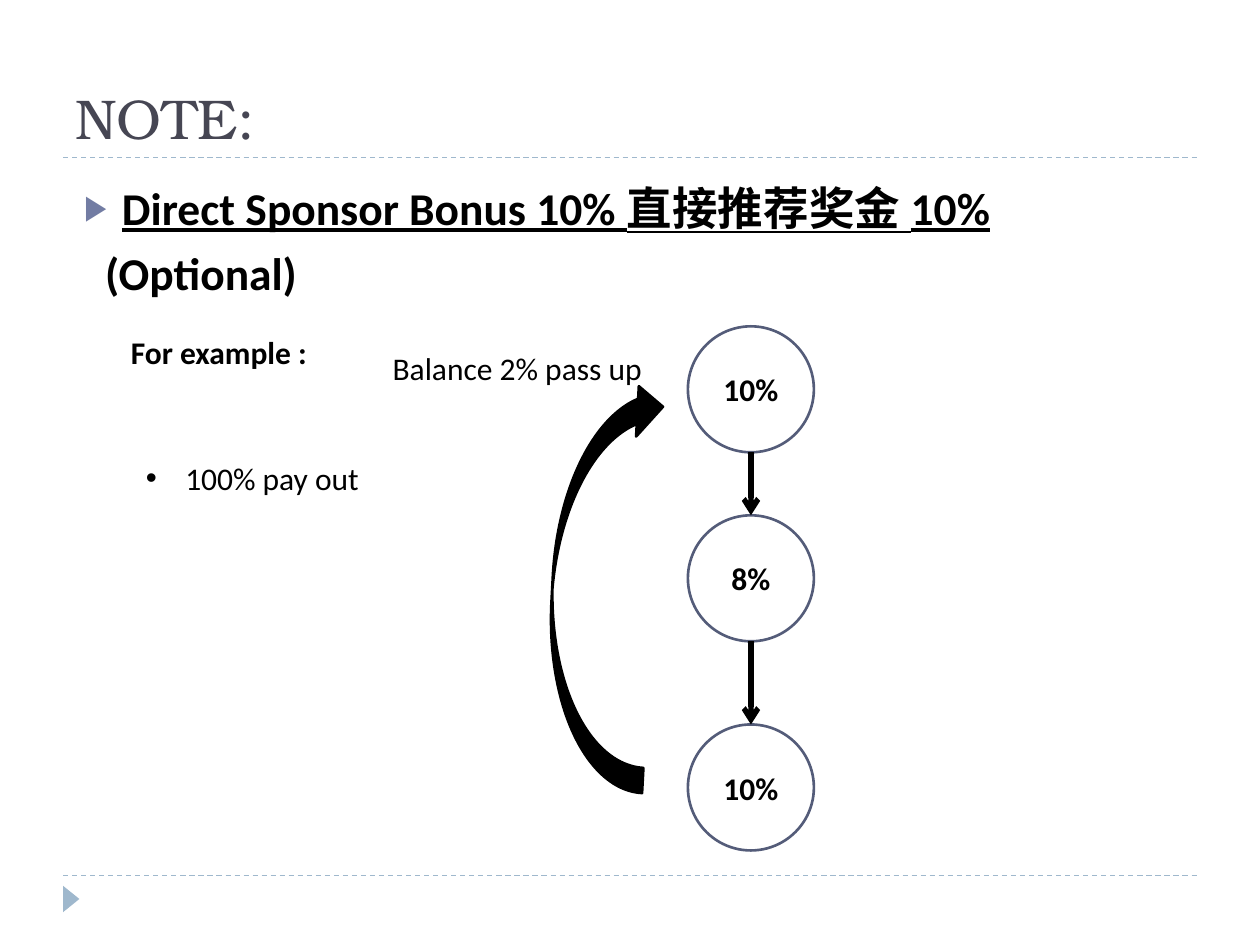
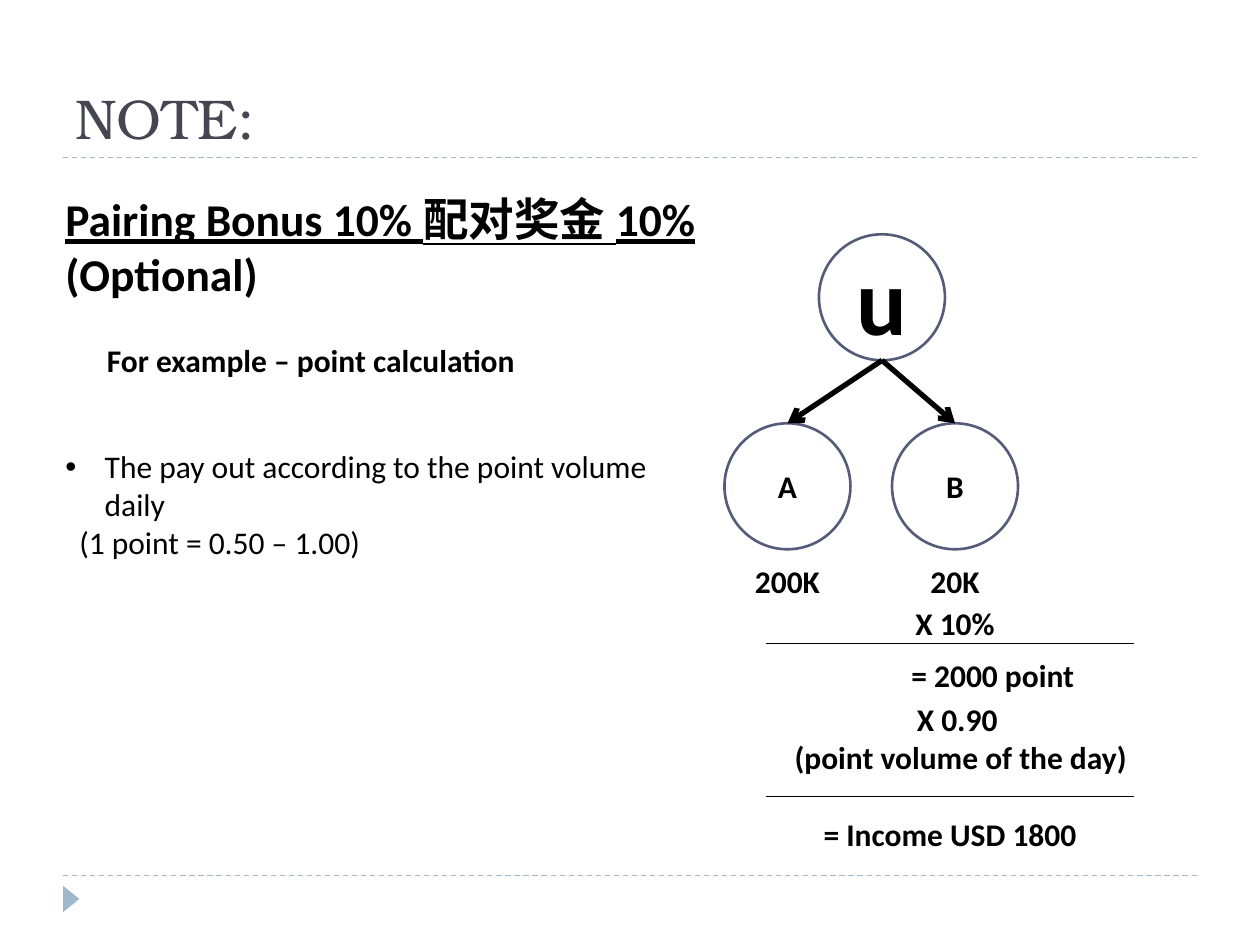
from dataclasses import dataclass

from lxml import etree
from pptx import Presentation
from pptx.dml.color import RGBColor
from pptx.enum.dml import MSO_LINE
from pptx.enum.shapes import MSO_CONNECTOR, MSO_SHAPE
from pptx.enum.text import MSO_ANCHOR, MSO_AUTO_SIZE, PP_ALIGN
from pptx.oxml.ns import qn
from pptx.util import Pt

STRAIGHT = MSO_CONNECTOR.STRAIGHT
OVAL = MSO_SHAPE.OVAL
TRIANGLE = MSO_SHAPE.ISOSCELES_TRIANGLE
CURVED_ARROW = MSO_SHAPE.CURVED_DOWN_ARROW
DASH = MSO_LINE.DASH
TOP, MIDDLE, BOTTOM = MSO_ANCHOR.TOP, MSO_ANCHOR.MIDDLE, MSO_ANCHOR.BOTTOM
LEFT, CENTER = PP_ALIGN.LEFT, PP_ALIGN.CENTER
NO_FIT = MSO_AUTO_SIZE.NONE


@dataclass(frozen=True)
class Theme:
    ink: str = "000000"
    title: str = "464653"
    band: str = "9FB8CD"
    ring: str = "545C79"
    bullet: str = "727CA3"
    body_font: str = "Calibri"
    title_font: str = "TeX Gyre Bonum"
    title_size: int = 32
    heading_size: int = 26
    body_size: int = 18
    letter_size: int = 54
    circle: int = 72


def rgb(value):
    return RGBColor.from_string(value)


def pts(*values):
    return [Pt(v) for v in values]


def apply(target, values):
    for name, value in values.items():
        setattr(target, name, value)


class Deck:
    def __init__(self, theme):
        self.t = theme
        self.prs = Presentation()
        apply(self.prs, {"slide_width": Pt(720), "slide_height": Pt(540)})
        self.s = None

    def slide(self, title):
        self.s = self.prs.slides.add_slide(self.prs.slide_layouts[5])
        for y in (500.4, 90):
            self.line((36, y), (684, y), self.t.band, 0.75, dash=DASH)
        self.shape(TRIANGLE, (33.12, 509.04, 15.12, 9.36),
                   fill=self.t.band, rotation=90)
        sp = self.s.shapes.title
        box = pts(36, 12.24, 648, 77.76)
        apply(sp, dict(zip(("left", "top", "width", "height"), box)))
        self.set_text(sp.text_frame, [self.para(
            title, size=self.t.title_size, font=self.t.title_font,
            color=self.t.title)], BOTTOM)

    def para(self, *runs, size=None, bold=False, align=LEFT, font=None,
             color=None, bullet=None, hang=0, left=0, before=0):
        return {"runs": runs, "align": align, "bullet": bullet,
                "hang": hang, "left": left, "before": before,
                "color": color or self.t.ink,
                "font": {"size": Pt(size or self.t.body_size), "bold": bold,
                         "name": font or self.t.body_font}}

    def set_text(self, tf, paras, anchor):
        apply(tf, {"word_wrap": True, "auto_size": NO_FIT,
                   "vertical_anchor": anchor})
        for i, item in enumerate(paras):
            p = tf.paragraphs[0] if i == 0 else tf.add_paragraph()
            apply(p, {"alignment": item["align"],
                      "space_before": Pt(item["before"])})
            pPr = p._p.get_or_add_pPr()
            pPr.set("marL", str(Pt(item["left"] + item["hang"])))
            pPr.set("indent", str(-Pt(item["hang"])))
            if item["bullet"]:
                self.bullet(pPr, *item["bullet"])
            for run in item["runs"]:
                text, underline = run if isinstance(run, tuple) else (run, False)
                r = p.add_run()
                r.text = text
                apply(r.font, {**item["font"], "underline": underline})
                r.font.color.rgb = rgb(item["color"])

    def bullet(self, pPr, char, color, percent):
        clr = etree.SubElement(pPr, qn("a:buClr"))
        etree.SubElement(clr, qn("a:srgbClr"), val=color)
        etree.SubElement(pPr, qn("a:buSzPct"), val=str(percent * 1000))
        etree.SubElement(pPr, qn("a:buFont"), typeface="Arial")
        etree.SubElement(pPr, qn("a:buChar"), char=char)

    def text(self, box, *paras, anchor=TOP):
        sp = self.s.shapes.add_textbox(*pts(*box))
        self.set_text(sp.text_frame, paras, anchor)

    def label(self, box, *lines, bold=True, align=CENTER):
        self.text(box, *[self.para(x, bold=bold, align=align) for x in lines],
                  anchor=MIDDLE)

    def shape(self, kind, box, fill=None, line=None, rotation=0):
        sp = self.s.shapes.add_shape(kind, *pts(*box))
        sp.shadow.inherit = False
        sp.rotation = rotation
        if fill:
            sp.fill.solid()
            sp.fill.fore_color.rgb = rgb(fill)
        else:
            sp.fill.background()
        if line:
            sp.line.color.rgb = rgb(line)
            sp.line.width = Pt(1.5)
        else:
            sp.line.fill.background()
        return sp

    def circle(self, x, y, text, size=None):
        d = self.t.circle
        sp = self.shape(OVAL, (x, y, d, d), line=self.t.ring)
        self.set_text(sp.text_frame, [self.para(
            text, size=size, bold=True, align=CENTER)], MIDDLE)

    def line(self, start, end, color, width, dash=None, arrow=False):
        sp = self.s.shapes.add_connector(STRAIGHT, *pts(*start, *end))
        sp.line.color.rgb = rgb(color)
        apply(sp.line, {"width": Pt(width), "dash_style": dash})
        if arrow:
            etree.SubElement(sp.line._get_or_add_ln(), qn("a:tailEnd"),
                             type="arrow")
        etree.SubElement(sp._element.spPr, qn("a:effectLst"))

    def link(self, upper, lower):
        d = self.t.circle
        self.line((upper[0] + d / 2, upper[1] + d),
                  (lower[0] + d / 2, lower[1]), self.t.ink, 3, arrow=True)


def sponsor_slide(deck):
    t = deck.t
    deck.slide("NOTE:")
    deck.label((67.68, 182.88, 216, 36), "For example :", align=LEFT)
    chain = [(393.12, y) for y in (186.48, 294.48, 414)]
    for (x, y), share in zip(chain, ("10%", "8%", "10%")):
        deck.circle(x, y, share)
    for upper, lower in zip(chain, chain[1:]):
        deck.link(upper, lower)
    deck.shape(CURVED_ARROW, (226.8, 305.28, 235.44, 57.6),
               fill=t.ink, line=t.ink, rotation=273.1)
    deck.label((214.56, 192.24, 162, 36), "Balance 2% pass up", bold=False)
    heading = {"size": t.heading_size, "bold": True, "before": 6}
    deck.text((41.04, 99.36, 648, 76.32),
              deck.para(("Direct Sponsor Bonus 10% 直接推荐奖金 10%", True),
                        bullet=("▶", t.bullet, 76), hang=21.6, **heading),
              deck.para("(Optional)", left=12, **heading))
    deck.text((76.32, 258.48, 155.52, 28.8),
              deck.para("100% pay out", bullet=("•", t.ink, 100), hang=22.5))


def pairing_slide(deck):
    t = deck.t
    deck.slide("NOTE:")
    deck.text((30.24, 105.84, 483.12, 70.56),
              deck.para(("Pairing Bonus 10% 配对奖金 10% ", True),
                        "(Optional)", size=t.heading_size, bold=True))
    deck.label((54, 187.92, 311.76, 36), "For example – point calculation",
               align=LEFT)
    deck.text((30.24, 252, 360, 72.72),
              deck.para("The pay out according to the point volume daily",
                        bullet=("•", t.ink, 100), hang=22.5),
              deck.para("(1 point = 0.50 – 1.00)", left=8))

    root = (468, 133.92)
    deck.circle(*root, "u", size=t.letter_size)
    for x, name, volume in ((414, "A", "200K"), (509.76, "B", "20K")):
        leg = (x, 241.92)
        deck.circle(*leg, name)
        deck.link(root, leg)
        deck.label((x, leg[1] + t.circle, t.circle, 36), volume)

    for box, lines in (
            ((509.76, 337.68, 72, 36), ["X 10%"]),
            ((473.76, 367.92, 187.2, 36), ["= 2000 point"]),
            ((408.96, 403.92, 280.08, 36),
             ["X 0.90 ", "(point volume of the day)"]),
            ((455.76, 458.64, 174.24, 36), ["= Income USD 1800"])):
        deck.label(box, *lines)
    for y in (367.92, 455.04):
        deck.line((437.76, y), (648, y), t.ink, 0.75)


def main():
    deck = Deck(Theme())
    sponsor_slide(deck)
    pairing_slide(deck)
    deck.prs.save("out.pptx")


if __name__ == "__main__":
    main()
